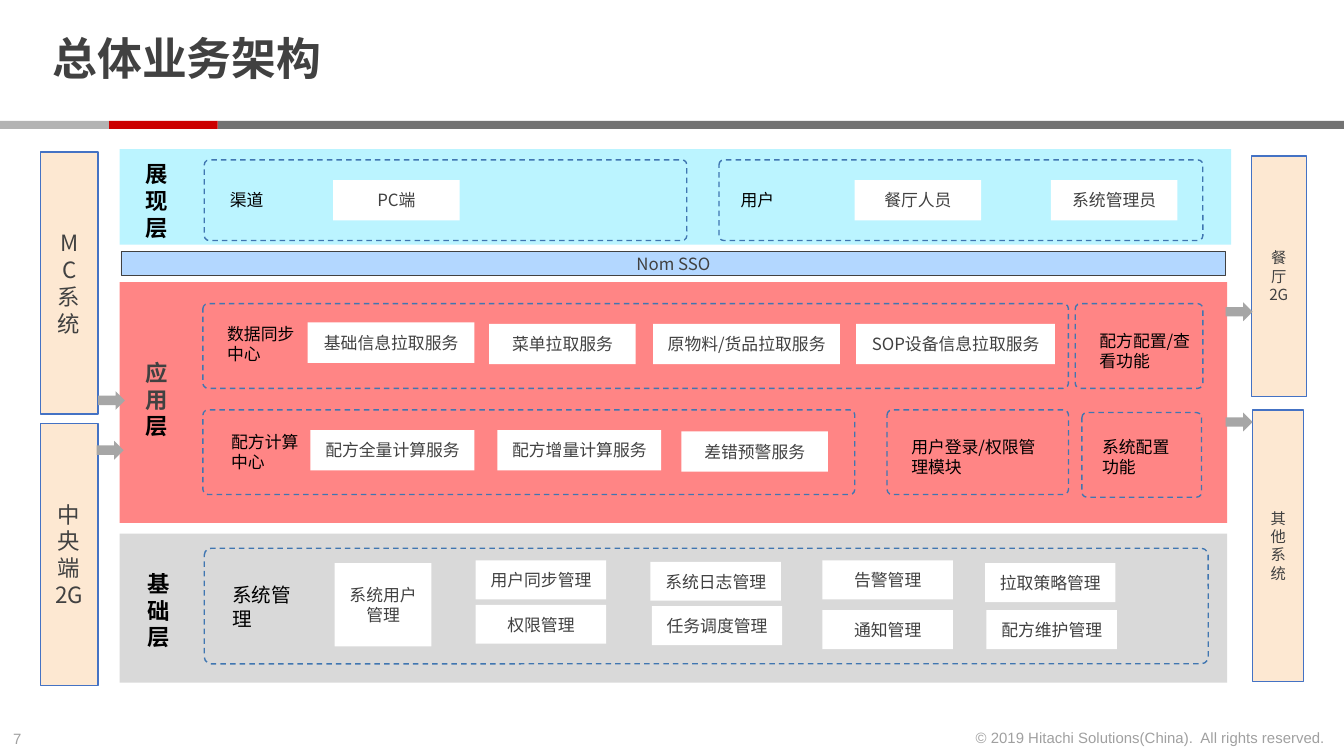
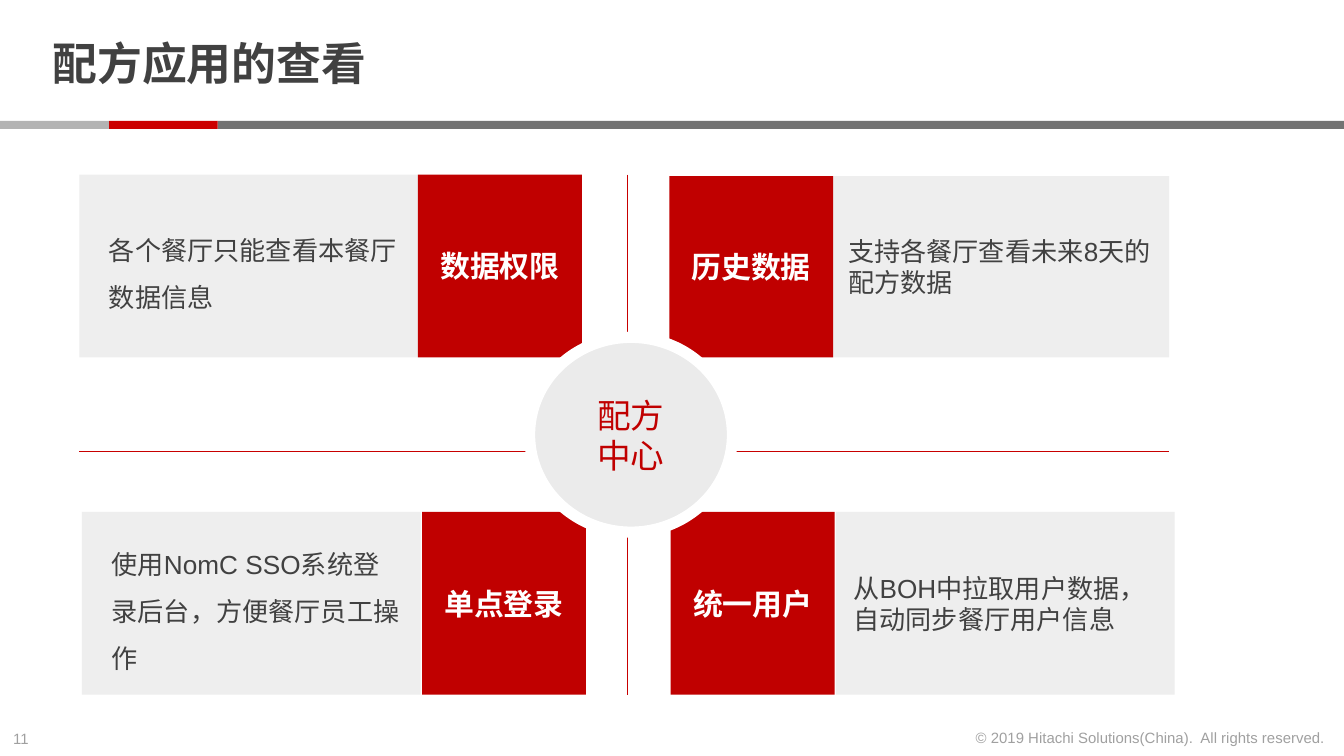
from dataclasses import dataclass
from typing import Optional

from lxml import etree
from pptx import Presentation
from pptx.dml.color import RGBColor
from pptx.enum.dml import MSO_LINE
from pptx.enum.shapes import MSO_CONNECTOR, MSO_SHAPE
from pptx.enum.text import MSO_ANCHOR, MSO_AUTO_SIZE, PP_ALIGN
from pptx.oxml.ns import qn
from pptx.util import Emu, Pt

EMU_PER_PX = 9144
SLIDE_WIDTH = 1000
TITLE_ONLY = 5

RECTANGLE = MSO_SHAPE.RECTANGLE
ROUNDED = MSO_SHAPE.ROUNDED_RECTANGLE
RIGHT_ARROW = MSO_SHAPE.RIGHT_ARROW
ELLIPSE = MSO_SHAPE.OVAL
STRAIGHT = MSO_CONNECTOR.STRAIGHT
DASH = MSO_LINE.DASH
SOLID = MSO_LINE.SOLID
LEFT, CENTER, RIGHT = PP_ALIGN.LEFT, PP_ALIGN.CENTER, PP_ALIGN.RIGHT
TOP, MIDDLE = MSO_ANCHOR.TOP, MSO_ANCHOR.MIDDLE
FIXED_SIZE = MSO_AUTO_SIZE.NONE

CJK_FONT = "Noto Sans CJK SC"
LATIN_FONT = "Arial"

BLACK = RGBColor(0x00, 0x00, 0x00)
WHITE = RGBColor(0xFF, 0xFF, 0xFF)
INK = RGBColor(0x41, 0x41, 0x41)
FOOTER_GRAY = RGBColor(0xA0, 0xA0, 0xA0)
BAND_DARK = RGBColor(0x73, 0x73, 0x73)
BAND_RED = RGBColor(0xCC, 0x00, 0x00)
BAND_LIGHT = RGBColor(0xB3, 0xB3, 0xB3)
CYAN = RGBColor(0xBB, 0xF4, 0xFF)
CORAL = RGBColor(0xFF, 0x85, 0x85)
LAYER_GRAY = RGBColor(0xD9, 0xD9, 0xD9)
CREAM = RGBColor(0xFD, 0xE8, 0xD2)
SIDE_BLUE = RGBColor(0x44, 0x72, 0xC4)
DASH_BLUE = RGBColor(0x40, 0x76, 0xB1)
SSO_BLUE = RGBColor(0xB3, 0xD7, 0xFF)
ARROW_GRAY = RGBColor(0xA6, 0xA6, 0xA6)
PANEL_GRAY = RGBColor(0xEE, 0xEE, 0xEE)
HUB_GRAY = RGBColor(0xEB, 0xEB, 0xEB)
CARD_RED = RGBColor(0xC0, 0x00, 0x00)
AXIS_RED = RGBColor(0xC8, 0x00, 0x00)

COPYRIGHT = "© 2019 Hitachi Solutions(China).  All rights reserved."


@dataclass(frozen=True)
class Box:
    left: int
    top: int
    width: int
    height: int

    def emu(self) -> tuple:
        return tuple(px(n) for n in (self.left, self.top, self.width, self.height))


@dataclass(frozen=True)
class Label:
    text: str
    box: Box
    size: float = 9
    bold: bool = False
    anchor: MSO_ANCHOR = TOP


@dataclass(frozen=True)
class Card:
    heading: str
    heading_box: Box
    body: str
    body_box: Box
    font: str = LATIN_FONT
    line_spacing: Optional[float] = None
    indent: int = 0
    space_after: int = 0


def px(length: int) -> Emu:
    return Emu(length * EMU_PER_PX)


def style_font(font, name: str, size: float, color: RGBColor, bold: bool) -> None:
    font.name = name
    font.size = Pt(size)
    font.bold = bold
    font.color.rgb = color


def write_text(shape, text: str, *, size: float = 9, color: RGBColor = INK,
               bold: bool = False, font: str = CJK_FONT, align: PP_ALIGN = LEFT,
               anchor: MSO_ANCHOR = MIDDLE, insets: tuple = (10, 5), wrap: bool = True,
               line_spacing: Optional[float] = None, indent: int = 0,
               space_after: int = 0) -> None:
    frame = shape.text_frame
    frame.word_wrap = wrap
    frame.auto_size = FIXED_SIZE
    frame.vertical_anchor = anchor
    frame.margin_left = frame.margin_right = px(insets[0])
    frame.margin_top = frame.margin_bottom = px(insets[1])
    for index, line in enumerate(text.split("\n")):
        paragraph = frame.add_paragraph() if index else frame.paragraphs[0]
        paragraph.alignment = align
        if line_spacing:
            paragraph.line_spacing = line_spacing
        if space_after:
            paragraph.space_after = Pt(space_after)
        if indent:
            paragraph._p.get_or_add_pPr().set("marL", str(px(indent)))
        run = paragraph.add_run()
        run.text = line
        style_font(run.font, font, size, color, bold)
        east_asian = etree.SubElement(run.font._element, qn("a:ea"))
        east_asian.set("typeface", CJK_FONT)


def add_box(slide, box: Box, fill: Optional[RGBColor] = None,
            line: Optional[RGBColor] = None, weight: float = 0.75, kind: MSO_SHAPE = RECTANGLE):
    shape = slide.shapes.add_shape(kind, *box.emu())
    shape.shadow.inherit = False
    if fill is None:
        shape.fill.background()
    else:
        shape.fill.solid()
        shape.fill.fore_color.rgb = fill
    if line is None:
        shape.line.fill.background()
    else:
        shape.line.color.rgb = line
        shape.line.width = Pt(weight)
    return shape


def add_text(slide, text: str, box: Box, **text_format):
    shape = slide.shapes.add_textbox(*box.emu())
    write_text(shape, text, **text_format)
    return shape


def add_label(slide, label: Label, color: RGBColor = BLACK):
    return add_text(slide, label.text, label.box, size=label.size, bold=label.bold,
                    color=color, anchor=label.anchor, insets=(4, 4))


def add_group_frame(slide, box: Box) -> None:
    frame = add_box(slide, box, line=DASH_BLUE, kind=ROUNDED)
    frame.adjustments[0] = 0.06
    frame.line.dash_style = DASH


def add_axis(slide, start: tuple, end: tuple) -> None:
    axis = slide.shapes.add_connector(STRAIGHT, *(px(n) for n in start + end))
    axis.line.color.rgb = AXIS_RED
    axis.line.width = Pt(0.75)
    axis.line.dash_style = SOLID
    axis._element.remove(axis._element.find(qn("p:style")))


def add_card(slide, card: Card) -> None:
    panel = add_box(slide, card.body_box, PANEL_GRAY)
    write_text(panel, card.body, size=14, font=card.font, insets=(13, 7),
               line_spacing=card.line_spacing, indent=card.indent,
               space_after=card.space_after)
    heading = add_box(slide, card.heading_box, CARD_RED)
    write_text(heading, card.heading, size=16, bold=True, color=WHITE, align=CENTER)


def start_slide(presentation, title: str, title_box: Box, number: int):
    slide = presentation.slides.add_slide(presentation.slide_layouts[TITLE_ONLY])
    for left, width, color in ((162, 838, BAND_DARK), (81, 81, BAND_RED), (0, 81, BAND_LIGHT)):
        add_box(slide, Box(left, 90, width, 6), color)
    footer = dict(size=8, color=FOOTER_GRAY, font=LATIN_FONT, anchor=TOP, wrap=False)
    add_text(slide, str(number), Box(0, 538, 34, 24), **footer)
    add_text(slide, COPYRIGHT, Box(712, 537, 284, 24), align=RIGHT, **footer)
    heading = slide.shapes.title
    heading.left, heading.top, heading.width, heading.height = title_box.emu()
    write_text(heading, title, size=24, bold=True, font=LATIN_FONT, insets=(10, 0),
               line_spacing=0.85)
    return slide


LAYERS = (
    (Box(89, 397, 824, 111), LAYER_GRAY),
    (Box(89, 210, 824, 179), CORAL),
    (Box(89, 111, 827, 71), CYAN),
)

SIDE_SYSTEMS = (
    Label("MC系统", Box(30, 113, 43, 195), 12),
    Label("中央端2G", Box(30, 315, 43, 195), 12),
    Label("餐厅2G", Box(931, 116, 41, 179), 8.2),
    Label("其他系统", Box(932, 305, 38, 202), 8.2),
)

ARROW_POSITIONS = ((73, 291), (72, 328), (912, 307), (912, 225))

GROUP_FRAMES = (
    Box(152, 119, 359, 60),
    Box(535, 119, 360, 60),
    Box(151, 226, 644, 63),
    Box(800, 226, 95, 63),
    Box(151, 305, 485, 63),
    Box(660, 305, 135, 63),
    Box(805, 307, 89, 63),
    Box(152, 408, 747, 86),
)

GROUP_LABELS = (
    Label("展现层", Box(104, 115, 31, 68), 12, True),
    Label("基础层", Box(106, 420, 31, 68), 12, True),
    Label("渠道", Box(167, 137, 44, 23)),
    Label("用户", Box(547, 137, 44, 23)),
    Label("数据同步\n中心", Box(165, 233, 68, 46), anchor=MIDDLE),
    Label("配方配置/查看功能", Box(814, 238, 77, 46), anchor=MIDDLE),
    Label("配方计算中心", Box(168, 307, 70, 58), anchor=MIDDLE),
    Label("用户登录/权限管理模块", Box(674, 317, 108, 46), anchor=MIDDLE),
    Label("系统配置功能", Box(816, 317, 68, 46), anchor=MIDDLE),
    Label("系统管理", Box(169, 430, 53, 43), 10.5),
)

MODULES = (
    Label("PC端", Box(248, 134, 94, 30)),
    Label("餐厅人员", Box(636, 134, 94, 30)),
    Label("系统管理员", Box(782, 134, 94, 30)),
    Label("基础信息拉取服务", Box(229, 240, 124, 30)),
    Label("菜单拉取服务", Box(364, 241, 109, 30)),
    Label("原物料/货品拉取服务", Box(486, 241, 139, 30)),
    Label("SOP设备信息拉取服务", Box(637, 241, 148, 30)),
    Label("配方全量计算服务", Box(231, 320, 122, 30)),
    Label("配方增量计算服务", Box(370, 320, 122, 30)),
    Label("差错预警服务", Box(507, 321, 109, 30)),
    Label("系统用户管理", Box(249, 419, 72, 62)),
    Label("用户同步管理", Box(354, 417, 97, 29)),
    Label("权限管理", Box(354, 450, 97, 29)),
    Label("系统日志管理", Box(484, 418, 97, 29)),
    Label("任务调度管理", Box(485, 451, 97, 29)),
    Label("告警管理", Box(612, 417, 97, 29)),
    Label("通知管理", Box(612, 454, 97, 29)),
    Label("拉取策略管理", Box(733, 419, 97, 29)),
    Label("配方维护管理", Box(734, 454, 97, 29)),
)

CARDS = (
    Card("数据权限", Box(311, 130, 122, 136), "各个餐厅只能查看本餐厅数据信息",
         Box(59, 130, 252, 136), font=CJK_FONT, line_spacing=1.5, indent=9),
    Card("单点登录", Box(314, 381, 122, 136), "使用NomC SSO系统登录后台，方便餐厅员工操作",
         Box(61, 381, 252, 136), line_spacing=1.5, indent=9),
    Card("历史数据", Box(498, 131, 122, 135), "支持各餐厅查看未来8天的配方数据",
         Box(618, 131, 252, 135), space_after=12),
    Card("统一用户", Box(499, 381, 122, 136), "从BOH中拉取用户数据，自动同步餐厅用户信息",
         Box(622, 381, 252, 136), space_after=12),
)


def build_architecture(presentation) -> None:
    slide = start_slide(presentation, "总体业务架构", Box(29, 6, 771, 80), 7)
    for box, color in LAYERS:
        add_box(slide, box, color)
    for system in SIDE_SYSTEMS:
        shape = add_box(slide, system.box, CREAM, SIDE_BLUE)
        write_text(shape, system.text, size=system.size, align=CENTER)
    for left, top in ARROW_POSITIONS:
        add_box(slide, Box(left, top, 20, 14), ARROW_GRAY, kind=RIGHT_ARROW)
    sso_bar = add_box(slide, Box(90, 187, 822, 18), SSO_BLUE, INK, 0.25)
    write_text(sso_bar, "Nom SSO", align=CENTER)
    for frame in GROUP_FRAMES:
        add_group_frame(slide, frame)
    for label in GROUP_LABELS:
        add_label(slide, label)
    application = add_label(slide, Label("应用", Box(104, 263, 31, 68), 12, True), INK)
    last_run = application.text_frame.paragraphs[0].add_run()
    last_run.text = "层"
    style_font(last_run.font, CJK_FONT, 12, BLACK, True)
    for module in MODULES:
        write_text(add_box(slide, module.box, WHITE), module.text, align=CENTER)


def build_recipe_view(presentation) -> None:
    slide = start_slide(presentation, "配方应用的查看", Box(29, 13, 441, 73), 11)
    for card in CARDS:
        add_card(slide, card)
    add_axis(slide, (59, 336), (870, 336))
    add_axis(slide, (467, 130), (467, 517))
    hub = add_box(slide, Box(394, 251, 151, 145), HUB_GRAY, WHITE, 6, ELLIPSE)
    write_text(hub, "配方\n中心", size=18, color=CARD_RED, font=LATIN_FONT, align=CENTER)


def main() -> None:
    presentation = Presentation()
    presentation.slide_width = px(SLIDE_WIDTH)
    presentation.slide_height = Emu(presentation.slide_width * 9 // 16)
    build_architecture(presentation)
    build_recipe_view(presentation)
    presentation.save("out.pptx")


if __name__ == "__main__":
    main()
